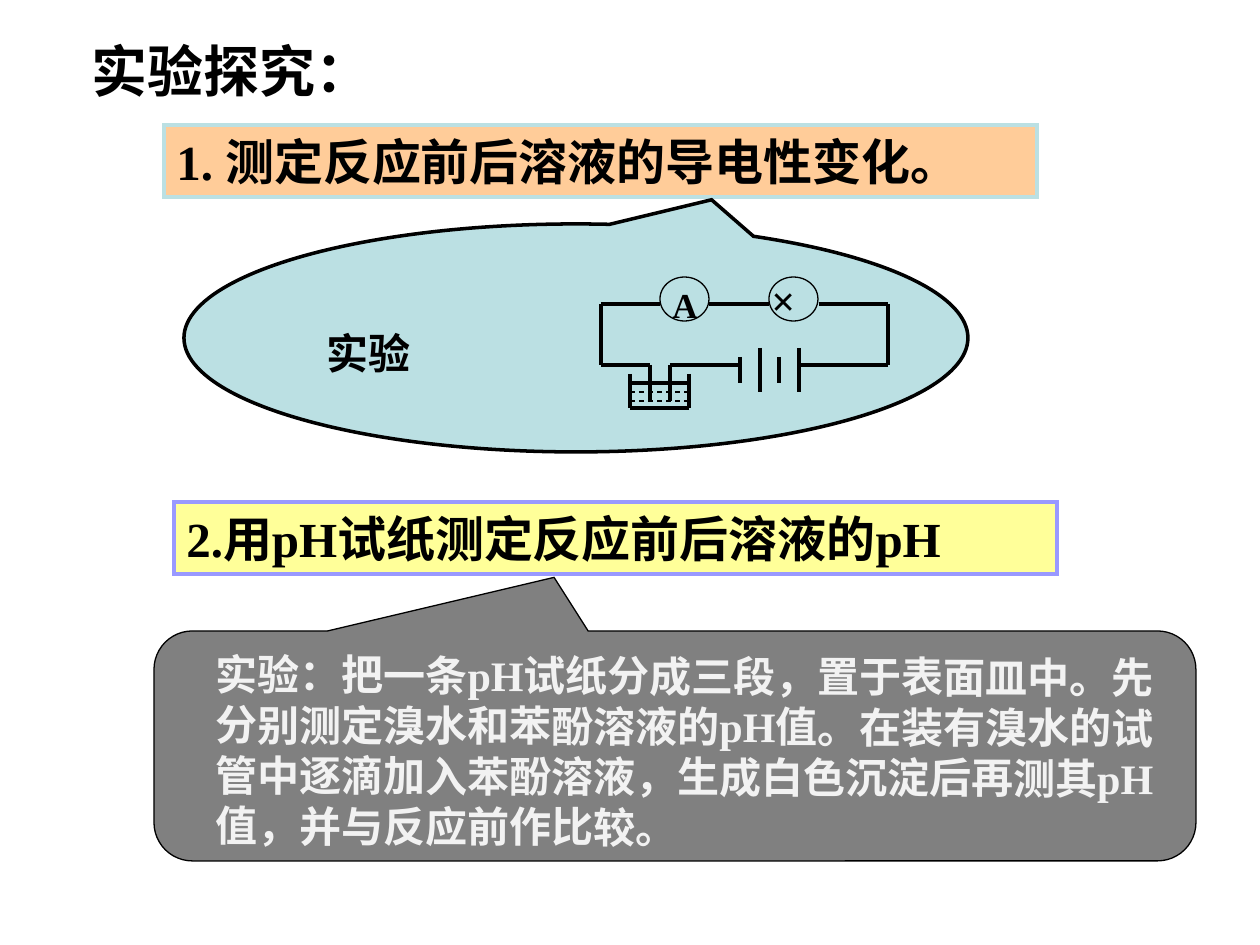
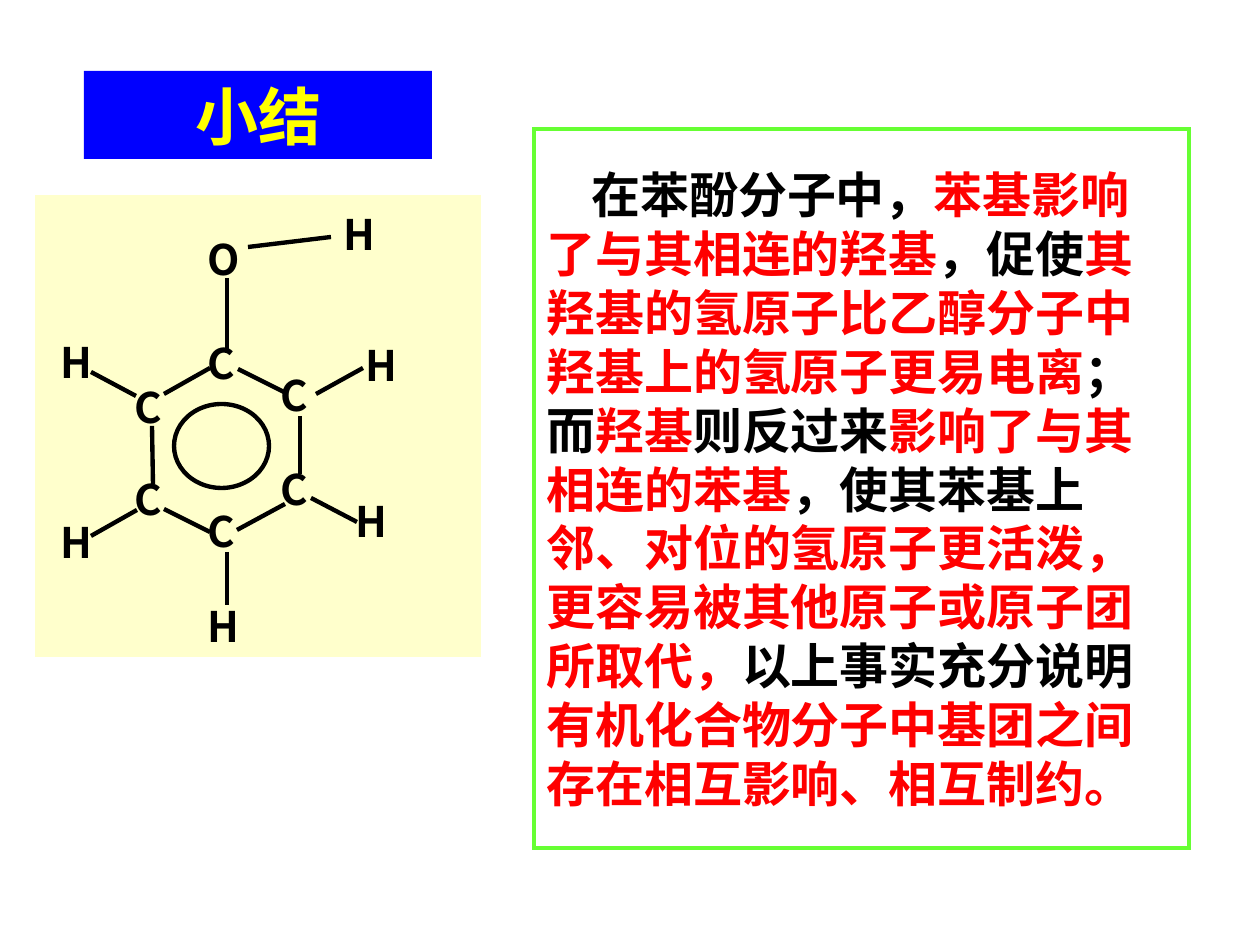
"""Build two chemistry slides: a phenol experiment and its summary."""
from pptx import Presentation
from pptx import util as u
from pptx.dml.color import RGBColor
from pptx.enum import dml, shapes, text
from pptx.oxml.ns import qn
from lxml import etree

PX = 914400 // 126
TIMES, HAN, HAN_TITLE = "Times New Roman", "Noto Sans CJK SC", "Noto Sans CJK JP"
BLACK, RED, PALE_BLUE = "000000", "FF0000", "BBE0E3"
KIND = shapes.MSO_SHAPE

HEADING = [("实验探究：", HAN_TITLE, BLACK)]
CONDUCTIVITY = [("1. ", TIMES, BLACK), ("测定反应前后溶液的导电性变化。", HAN, BLACK)]
PH_TEST = [("2.", TIMES, BLACK), ("用", HAN, BLACK), ("pH", TIMES, BLACK),
           ("试纸测定反应前后溶液的", HAN, BLACK), ("pH", TIMES, BLACK)]
PH_STEPS = [(words, TIMES if words == "pH" else HAN, "F2F2F2") for words in (
    "实验：把一条", "pH", "试纸分成三段，置于表面皿中。先分别测定溴水和苯酚溶液的", "pH",
    "值。在装有溴水的试管中逐滴加入苯酚溶液，生成白色沉淀后再测其", "pH", "值，并与反应前作比较。")]
CIRCUIT_LABELS = [("实验", HAN, 24, (314, 321, 258, 63)),
                  ("A", TIMES, 20, (660, 277, 49, 55)),
                  ("×", TIMES, 24, (759, 268, 110, 63))]
METERS = [660, 769]
WIRES = [
    (601, 304, 660, 304), (709, 304, 769, 304), (819, 304, 888, 304),
    (601, 304, 601, 365), (888, 304, 888, 365), (601, 365, 650, 365),
    (670, 365, 740, 365), (799, 365, 888, 365),
]
ELECTRODES = [(x, 365, x, 401) for x in (650, 670)]
BATTERY = [(x, 370 - half, x, 370 + half)
           for x, half in ((740, 13), (760, 22), (779, 13), (799, 22))]
BEAKER = [(630, 374, 630, 408), (689, 374, 689, 408), (630, 408, 689, 408),
          (630, 383, 689, 383)]
LIQUID = [(630, y, 689, y) for y in (392, 401)]

SUMMARY_TITLE = [("小结", HAN, "FFFF00")]
SUMMARY = [(words, HAN, RED if i % 2 else BLACK) for i, words in enumerate((
    "在苯酚分子中，", "苯基影响了与其相连的羟基", "，促使",
    "其羟基的氢原子比乙醇分子中羟基上的氢原子更易电离", "；而", "羟基", "则反过来",
    "影响了与其相连的苯基", "，使其苯基上",
    "邻、对位的氢原子更活泼，更容易被其他原子或原子团所取代，", "以上事实充分说明",
    "有机化合物分子中基团之间存在相互影响、相互制约。"))]
ATOMS = {
    "C": [(122, 375), (195, 331), (268, 363), (268, 457), (122, 467), (195, 499)],
    "O": [(195, 227)],
    "H": [(331, 202), (195, 594), (48, 510), (48, 330), (353, 333), (343, 489)],
}
RING_BONDS = [
    (300, 416, 300, 474), (238, 369, 284, 392), (164, 394, 210, 368),
    (152, 426, 153, 484), (237, 530, 285, 504), (164, 509, 210, 532),
]
OUTER_BONDS = [
    (227, 278, 227, 353), (248, 247, 331, 237), (316, 394, 363, 368),
    (91, 372, 136, 396), (311, 498, 357, 522), (91, 536, 137, 510),
    (227, 552, 227, 605),
]


def color(value):
    return RGBColor.from_string(value)


def write(box, runs, size, align=None, anchor=text.MSO_ANCHOR.TOP, indent=0):
    frame = box.text_frame
    frame.word_wrap = True
    frame.vertical_anchor = anchor
    paragraph = frame.paragraphs[0]
    paragraph.alignment = align or text.PP_ALIGN.LEFT
    properties = paragraph._p.get_or_add_pPr()
    properties.set("hangingPunct", "0")
    properties.set("indent", str(indent * PX))
    for words, face, tint in runs:
        run = paragraph.add_run()
        run.text = words
        run.font.name = face
        run.font.size = u.Pt(size)
        run.font.bold = True
        run.font.color.rgb = color(tint)
        etree.SubElement(run._r.get_or_add_rPr(), qn("a:ea")).set("typeface", face)


def add_text(slide, area, runs, size):
    box = slide.shapes.add_textbox(*(n * PX for n in area))
    write(box, runs, size)
    return box


def add_shape(slide, kind, area, fill=None, line=None, width=2):
    shape = slide.shapes.add_shape(kind, *(n * PX for n in area))
    shape.shadow.inherit = False
    if fill:
        shape.fill.solid()
        shape.fill.fore_color.rgb = color(fill)
    else:
        shape.fill.background()
    if line:
        shape.line.color.rgb = color(line)
        shape.line.width = u.Pt(width)
        outline = shape._element.spPr.find(qn("a:ln"))
        etree.SubElement(outline, qn("a:miter")).set("lim", "800000")
    else:
        shape.line.fill.background()
    return shape


def add_lines(slide, segments, width, dashed=False):
    for segment in segments:
        line = slide.shapes.add_connector(
            shapes.MSO_CONNECTOR.STRAIGHT, *(n * PX for n in segment))
        line.line.color.rgb = color(BLACK)
        line.line.width = u.Pt(width)
        if dashed:
            line.line.dash_style = dml.MSO_LINE.DASH
        etree.SubElement(line._element.spPr, qn("a:effectLst"))


def add_callout(slide, kind, area, fill, width, adjustments):
    callout = add_shape(slide, kind, area, fill, BLACK, width)
    for i, value in enumerate(adjustments):
        callout.adjustments[i] = value


def build_experiment(slide):
    add_text(slide, (79, 30, 486, 81), HEADING, 32)
    for area, fill, line, runs in (
            ((174, 502, 883, 72), "FFFF99", "9999FF", PH_TEST),
            ((164, 125, 873, 72), "FFCC99", PALE_BLUE, CONDUCTIVITY)):
        write(add_shape(slide, KIND.RECTANGLE, area, fill, line), runs, 28)

    add_callout(slide, KIND.ROUNDED_RECTANGULAR_CALLOUT, (154, 631, 1042, 230),
                "808080", 0.75, (-0.116, -0.733, 0.167))
    add_text(slide, (203, 644, 963, 214), PH_STEPS, 24).rotation = 0.2

    add_callout(slide, KIND.OVAL_CALLOUT, (184, 224, 784, 228),
                PALE_BLUE, 2, (0.173, -0.606))
    for left in METERS:
        add_shape(slide, KIND.OVAL, (left, 277, 49, 44), PALE_BLUE, BLACK, 0.75)
    for words, face, size, area in CIRCUIT_LABELS:
        add_text(slide, area, [(words, face, BLACK)], size)
    add_lines(slide, WIRES + ELECTRODES + BATTERY + BEAKER, 2)
    add_lines(slide, LIQUID, 0.75, dashed=True)


def build_summary(slide):
    add_shape(slide, KIND.RECTANGLE, (35, 195, 446, 462), "FFFFCC")
    conclusion = add_shape(slide, KIND.RECTANGLE, (534, 129, 655, 719), line="66FF33")
    write(conclusion, SUMMARY, 28, anchor=text.MSO_ANCHOR.MIDDLE, indent=45)
    banner = add_shape(slide, KIND.RECTANGLE, (84, 71, 348, 88), "0000FF")
    write(banner, SUMMARY_TITLE, 36, align=text.PP_ALIGN.CENTER)
    for element, places in ATOMS.items():
        for left, top in places:
            add_text(slide, (left, top, 116, 63), [(element, HAN, BLACK)], 24)
    add_shape(slide, KIND.OVAL, (174, 404, 95, 84), line=BLACK, width=2.5)
    add_lines(slide, RING_BONDS + OUTER_BONDS, 2.5)


def main():
    deck = Presentation()
    deck.slide_width, deck.slide_height = u.Inches(10), u.Inches(7.5)
    for build in (build_experiment, build_summary):
        build(deck.slides.add_slide(deck.slide_layouts[6]))
    deck.save("out.pptx")


if __name__ == "__main__":
    main()
